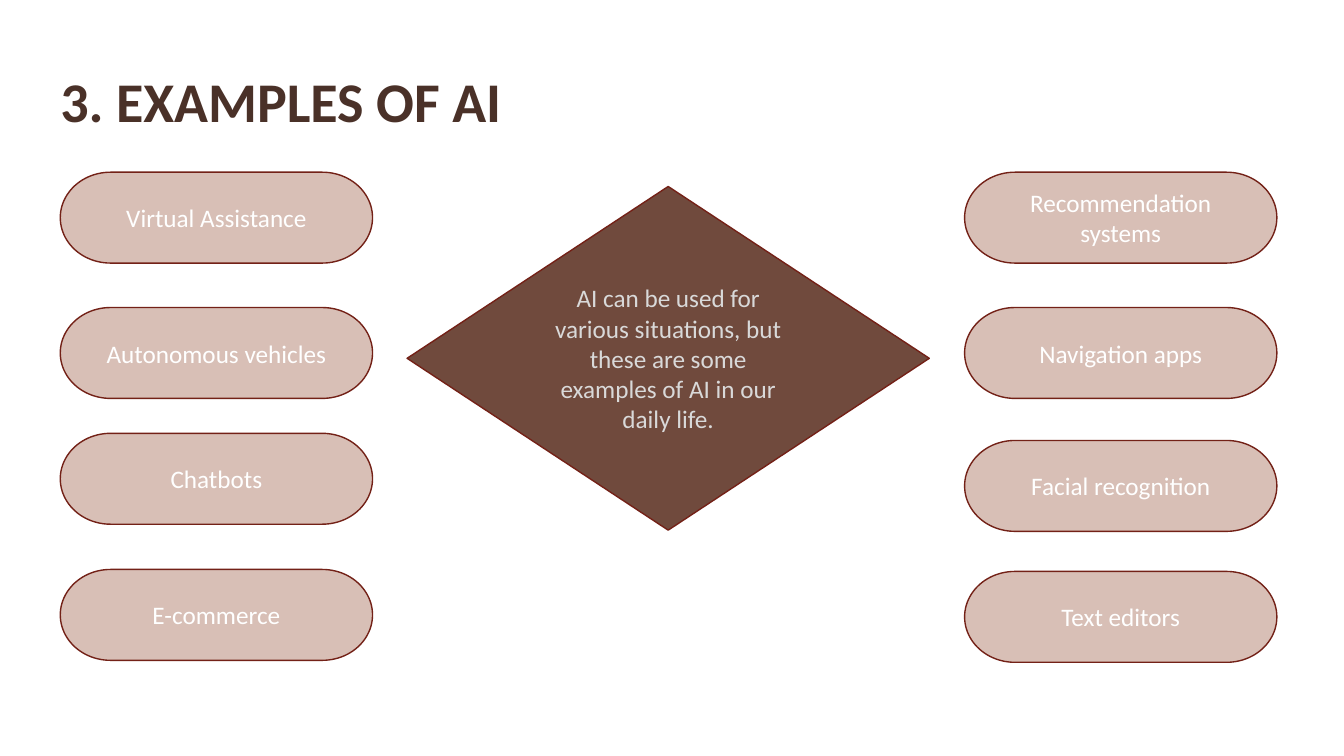
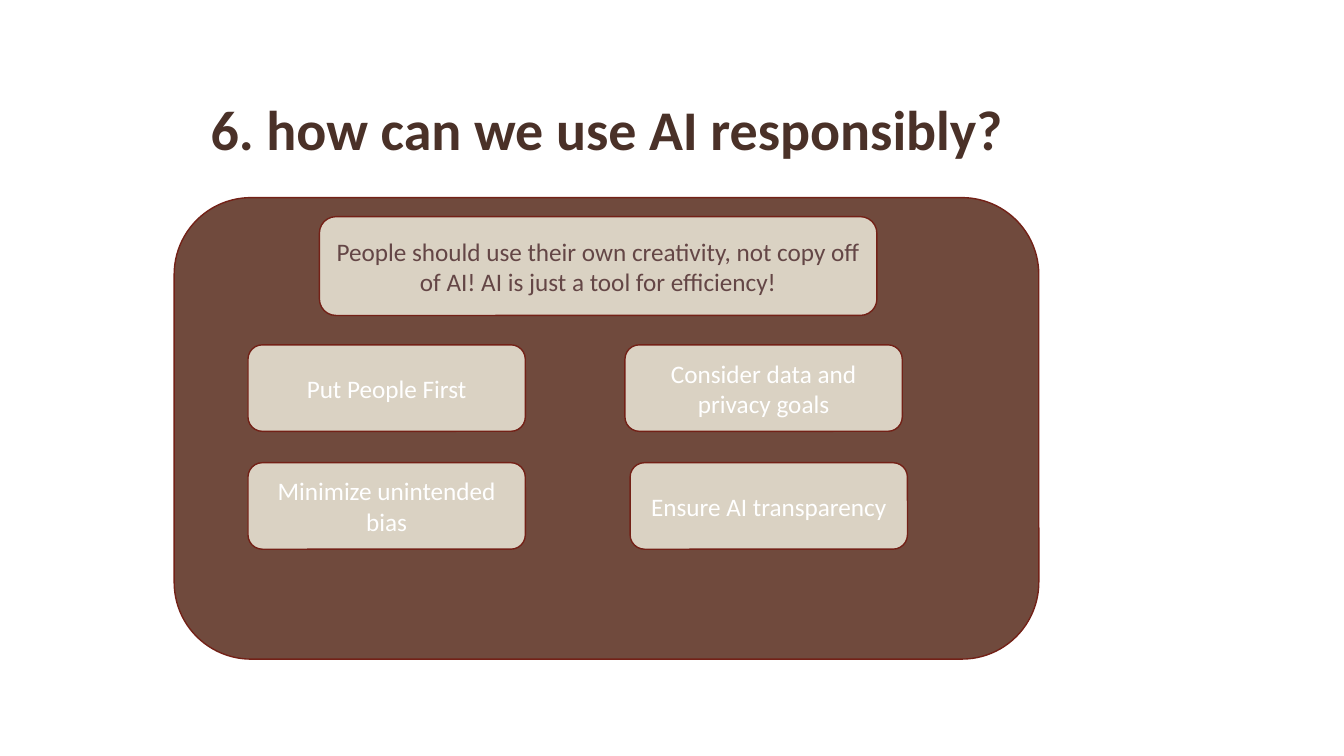
import pptx
import pptx.dml.color
import pptx.enum.shapes
import pptx.enum.text
import pptx.util

Cm = pptx.util.Cm
Pt = pptx.util.Pt
SHAPE = pptx.enum.shapes.MSO_SHAPE
ALIGN = pptx.enum.text.PP_ALIGN

COLORS = {
    "title": "4A3128",
    "brown": "704A3D",
    "outline": "732117",
    "rose": "D8BFB6",
    "sand": "DAD2C3",
    "white": "FFFFFF",
    "silver": "D9D9D9",
    "plum": "644646",
}
TITLE_FONT = {"name": "Calibri", "size": Pt(40), "bold": True}
BODY_FONT = {"name": "Calibri", "size": Pt(18), "bold": False}
FRAME = {"word_wrap": True, "vertical_anchor": pptx.enum.text.MSO_ANCHOR.MIDDLE}


def rgb(color):
    return pptx.dml.color.RGBColor.from_string(COLORS[color])


def apply(target, values):
    for name, value in values.items():
        setattr(target, name, value)


class Deck:
    """Holds the shared style and the slide being filled; lengths are in cm."""

    def __init__(self):
        self.presentation = pptx.Presentation()
        apply(self.presentation, {"slide_width": Cm(33.87), "slide_height": Cm(19.05)})
        self.slide = None

    def new_slide(self):
        self.slide = self.presentation.slides.add_slide(self.presentation.slide_layouts[6])

    def add_text(self, holder, text, font, color, paragraph_format):
        apply(holder.text_frame, FRAME)
        paragraph = holder.text_frame.paragraphs[0]
        apply(paragraph, paragraph_format)
        run = paragraph.add_run()
        run.text = text
        apply(run.font, font)
        run.font.color.rgb = rgb(color)

    def title(self, text, height, alignment):
        heading = self.slide.shapes.add_textbox(Cm(1.27), Cm(1.78), Cm(28.04), Cm(height))
        self.add_text(heading, text, TITLE_FONT, "title",
                      {"alignment": alignment, "line_spacing": Pt(40)})

    def block(self, preset, box, fill, text="", color="white"):
        """Adds an outlined shape; box is left, top, width, height."""
        block = self.slide.shapes.add_shape(preset, *map(Cm, box))
        block.shadow.inherit = False
        block.fill.solid()
        block.fill.fore_color.rgb = rgb(fill)
        block.line.color.rgb = rgb("outline")
        block.line.width = Pt(1)
        if text:
            self.add_text(block, text, BODY_FONT, color, {"alignment": ALIGN.CENTER})

    def column(self, preset, left, size, fill, entries):
        """Stacks equal blocks; entries are (top, text) pairs."""
        for top, text in entries:
            self.block(preset, (left, top, *size), fill, text)


def examples_slide(deck):
    deck.new_slide()
    deck.title("3. EXAMPLES OF AI", 1.78, ALIGN.LEFT)
    deck.block(SHAPE.FLOWCHART_DECISION, (10.26, 4.7, 13.16, 8.66), "brown",
               "AI can be used for various situations, but these are some "
               "examples of AI in our daily life.", "silver")
    examples = {
        1.52: [(4.34, "Virtual Assistance"), (7.75, "Autonomous vehicles"),
               (10.92, "Chatbots"), (14.35, "E-commerce")],
        24.31: [(4.34, "Recommendation systems"), (7.75, "Navigation apps"),
                (11.1, "Facial recognition"), (14.4, "Text editors")],
    }
    for left, entries in examples.items():
        deck.column(SHAPE.FLOWCHART_TERMINATOR, left, (7.87, 2.29), "rose", entries)


def responsibility_slide(deck):
    deck.new_slide()
    deck.title("6. how can we use AI responsibly?", 3.2, ALIGN.CENTER)
    deck.block(SHAPE.ROUNDED_RECTANGLE, (4.39, 4.98, 21.79, 11.63), "brown")
    deck.block(SHAPE.ROUNDED_RECTANGLE, (8.05, 5.46, 14.05, 2.49), "sand",
               "People should use their own creativity, not copy off of AI! "
               "AI is just a tool for efficiency!", "plum")
    upper, lower = 8.69, 11.66
    principles = {
        6.25: [(upper, "Put People First"), (lower, "Minimize unintended bias")],
        15.75: [(upper, "Consider data and privacy goals")],
        15.88: [(lower, "Ensure AI transparency")],
    }
    for left, entries in principles.items():
        deck.column(SHAPE.ROUNDED_RECTANGLE, left, (6.99, 2.18), "sand", entries)


def main():
    deck = Deck()
    examples_slide(deck)
    responsibility_slide(deck)
    deck.presentation.save("out.pptx")


if __name__ == "__main__":
    main()
